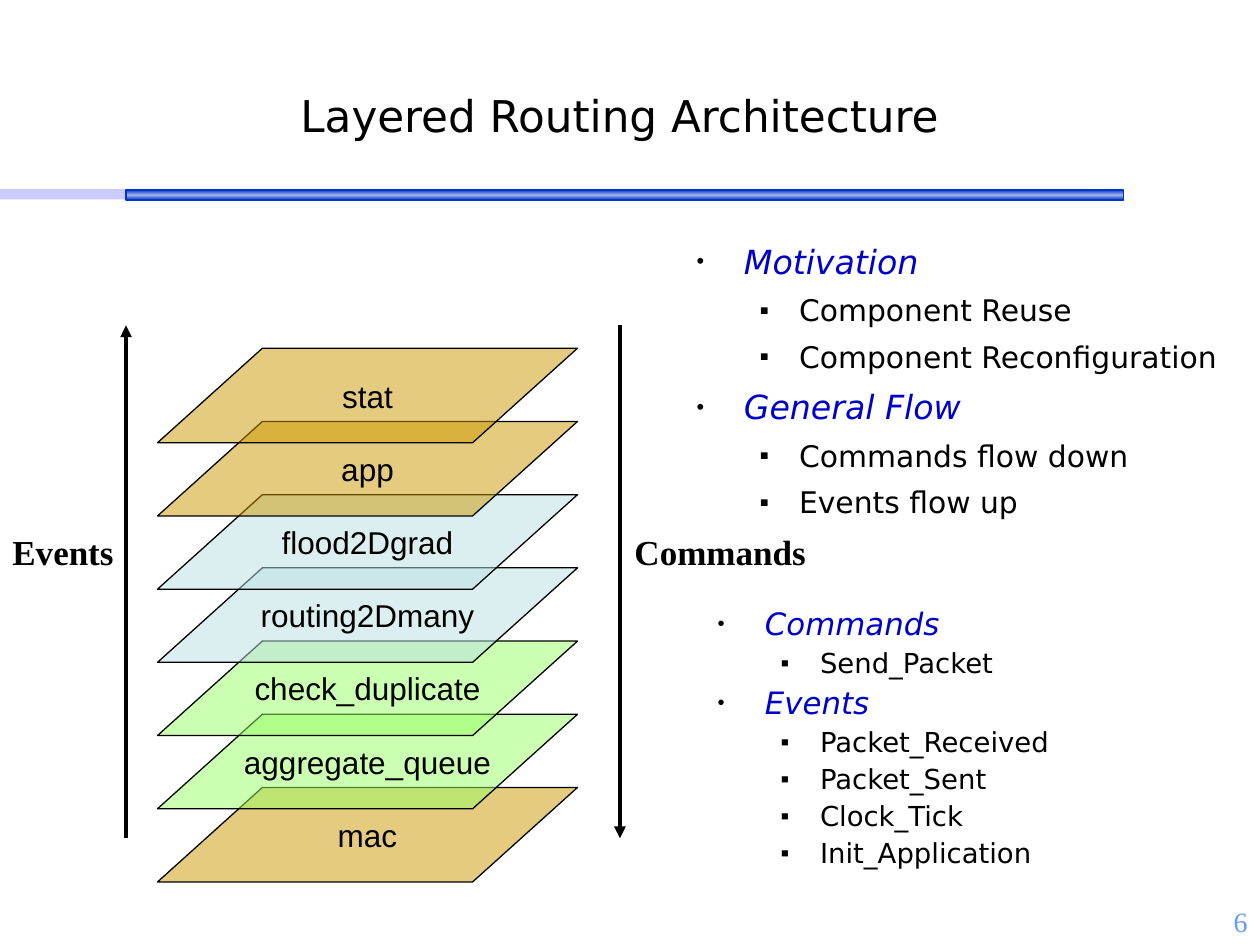
"""Build the slide on a layered routing architecture."""
import copy
from dataclasses import dataclass

import lxml.etree
import pptx
import pptx.dml.color
import pptx.enum.shapes
import pptx.enum.text
import pptx.oxml.ns
import pptx.util

Pt = pptx.util.Pt
Kind = pptx.enum.shapes.MSO_SHAPE
Align = pptx.enum.text.PP_ALIGN
Anchor = pptx.enum.text.MSO_ANCHOR
Fit = pptx.enum.text.MSO_AUTO_SIZE
BLACK, BLUE, NAVY = "000000", "0000CC", "0033CC"
GOLD, AQUA, LIME = "CC9900", "BBE0E3", "99FF66"


@dataclass
class Box:
    left: float
    top: float
    width: float
    height: float


@dataclass
class Font:
    name: str
    size: float
    color: str = BLACK
    bold: bool = False
    slant: bool = False


@dataclass
class Layer:
    name: str
    color: str


@dataclass
class Item:
    text: str
    level: int = 1


@dataclass
class Style:
    mark: str
    scale: int
    indent: float
    hang: float
    before: float
    color: str


LAYERS = [
    Layer("stat", GOLD), Layer("app", GOLD),
    Layer("flood2Dgrad", AQUA), Layer("routing2Dmany", AQUA),
    Layer("check_duplicate", LIME), Layer("aggregate_queue", LIME),
    Layer("mac", GOLD),
]
GOALS = [
    Item("Motivation", 0), Item("Component Reuse"), Item("Component Reconfiguration"),
    Item("General Flow", 0), Item("Commands flow down"), Item("Events flow up"),
]
CALLS = [
    Item("Commands", 0), Item("Send_Packet"),
    Item("Events", 0), Item("Packet_Received"), Item("Packet_Sent"),
    Item("Clock_Tick"), Item("Init_Application"),
]
STYLES = [Style("•", 65, 27, 27, 4.8, BLUE), Style("▪", 90, 58.5, 22.5, 4.2, BLACK)]


def paint(value: str) -> pptx.dml.color.RGBColor:
    return pptx.dml.color.RGBColor.from_string(value)


def add_node(parent, tag: str, **attrs: str):
    return lxml.etree.SubElement(parent, pptx.oxml.ns.qn(tag), attrs)


def set_font(para, font: Font) -> None:
    for run in para.runs:
        run.font.name = font.name
        run.font.size = Pt(font.size)
        run.font.bold = font.bold
        run.font.italic = font.slant
        run.font.color.rgb = paint(font.color)


def add_shape(slide, kind: Kind, box: Box):
    shape = slide.shapes.add_shape(
        kind, Pt(box.left), Pt(box.top), Pt(box.width), Pt(box.height))
    shape.shadow.inherit = False
    return shape


def set_glass(shape, color: str) -> None:
    shape.fill.solid()
    shape.fill.fore_color.rgb = paint(color)
    tint = shape.element.spPr.find(".//" + pptx.oxml.ns.qn("a:srgbClr"))
    add_node(tint, "a:alpha", val="50000")


def set_line(shape, color: str, width: float) -> None:
    shape.line.color.rgb = paint(color)
    shape.line.width = Pt(width)


def add_frame(slide, box: Box, wrap: bool = True):
    frame = slide.shapes.add_textbox(
        Pt(box.left), Pt(box.top), Pt(box.width), Pt(box.height)).text_frame
    frame.word_wrap = wrap
    return frame


def add_text(slide, box: Box, text: str, font: Font,
             align: Align = Align.LEFT, wrap: bool = False):
    frame = add_frame(slide, box, wrap)
    frame.auto_size = Fit.SHAPE_TO_FIT_TEXT
    frame.text = text
    frame.paragraphs[0].alignment = align
    set_font(frame.paragraphs[0], font)
    return frame


def add_list(slide, box: Box, items: list[Item], sizes: list[float], space: float) -> None:
    frame = add_frame(slide, box)
    frame.text = "\n".join(item.text for item in items)
    for para, item in zip(frame.paragraphs, items):
        style = STYLES[item.level]
        para.level = item.level
        para.line_spacing = space
        para.space_before = Pt(style.before)
        props = para._p.get_or_add_pPr()
        props.set("marL", str(Pt(style.indent)))
        props.set("indent", str(-Pt(style.hang)))
        add_node(add_node(props, "a:buClr"), "a:srgbClr", val=BLACK)
        add_node(props, "a:buSzPct", val=str(style.scale * 1000))
        add_node(props, "a:buFont", typeface="Arial")
        add_node(props, "a:buChar", char=style.mark)
        set_font(para, Font("DejaVu Sans", sizes[item.level], style.color,
                            slant=item.level == 0))


def add_bars(slide) -> None:
    pale = add_shape(slide, Kind.RECTANGLE, Box(0, 108, 622, 6))
    set_glass(pale, "9999FF")
    pale.line.fill.background()
    bar = add_shape(slide, Kind.RECTANGLE, Box(72, 108.5, 570, 6))
    bar.fill.gradient()
    bar.fill.gradient_angle = 90
    stops = bar.element.spPr.find(".//" + pptx.oxml.ns.qn("a:gsLst"))
    stops.insert(1, copy.deepcopy(stops[0]))
    for stop, place, color in zip(bar.fill.gradient_stops, (0, 0.5, 1), (NAVY, "9FB2EB", NAVY)):
        stop.position = place
        stop.color.rgb = paint(color)
    set_line(bar, NAVY, 1)


def add_layer(slide, layer: Layer, top: float) -> None:
    shape = add_shape(slide, Kind.PARALLELOGRAM, Box(90, top, 240, 54))
    shape.adjustments[0] = 1.11
    set_glass(shape, layer.color)
    set_line(shape, BLACK, 0.75)
    frame = shape.text_frame
    frame.word_wrap = False
    frame.vertical_anchor = Anchor.MIDDLE
    frame.text = layer.name
    frame.paragraphs[0].alignment = Align.CENTER
    set_font(frame.paragraphs[0], Font("Arial", 18))


def add_arrow(slide, left: float, start: float, end: float) -> None:
    arrow = slide.shapes.add_connector(
        pptx.enum.shapes.MSO_CONNECTOR.STRAIGHT, Pt(left), Pt(start), Pt(left), Pt(end))
    set_line(arrow, BLACK, 2.25)
    add_node(arrow.line._get_or_add_ln(), "a:tailEnd", type="triangle")
    add_node(arrow.element.spPr, "a:effectLst")


def main() -> None:
    deck = pptx.Presentation()
    deck.slide_width, deck.slide_height = Pt(720), Pt(540)
    slide = deck.slides.add_slide(deck.slide_layouts[6])
    add_bars(slide)
    add_text(slide, Box(684, 513.5, 36, 27), "6",
             Font("Times New Roman", 16, "6699FF"), Align.RIGHT, True
             ).paragraphs[0].space_before = Pt(10)
    add_text(slide, Box(30, 46.5, 648, 37.5), "Layered Routing Architecture",
             Font("DejaVu Sans", 25), Align.CENTER, True).vertical_anchor = Anchor.BOTTOM
    add_list(slide, Box(391, 132, 329, 188), GOALS, [19, 17], 1.1)
    for rank, layer in reversed(list(enumerate(LAYERS))):
        add_layer(slide, layer, 199 + 41.83 * rank)
    add_arrow(slide, 72, 479, 186)
    add_arrow(slide, 354.25, 186, 479)
    label = Font("Times New Roman", 20, bold=True)
    add_text(slide, Box(0, 299.5, 72.5, 31.5), "Events", label)
    add_text(slide, Box(355.5, 299.5, 113, 31.5), "Commands", label)
    add_list(slide, Box(403, 344.5, 289, 165), CALLS, [17.6, 15.7], 0.9)
    deck.save("out.pptx")


if __name__ == "__main__":
    main()
